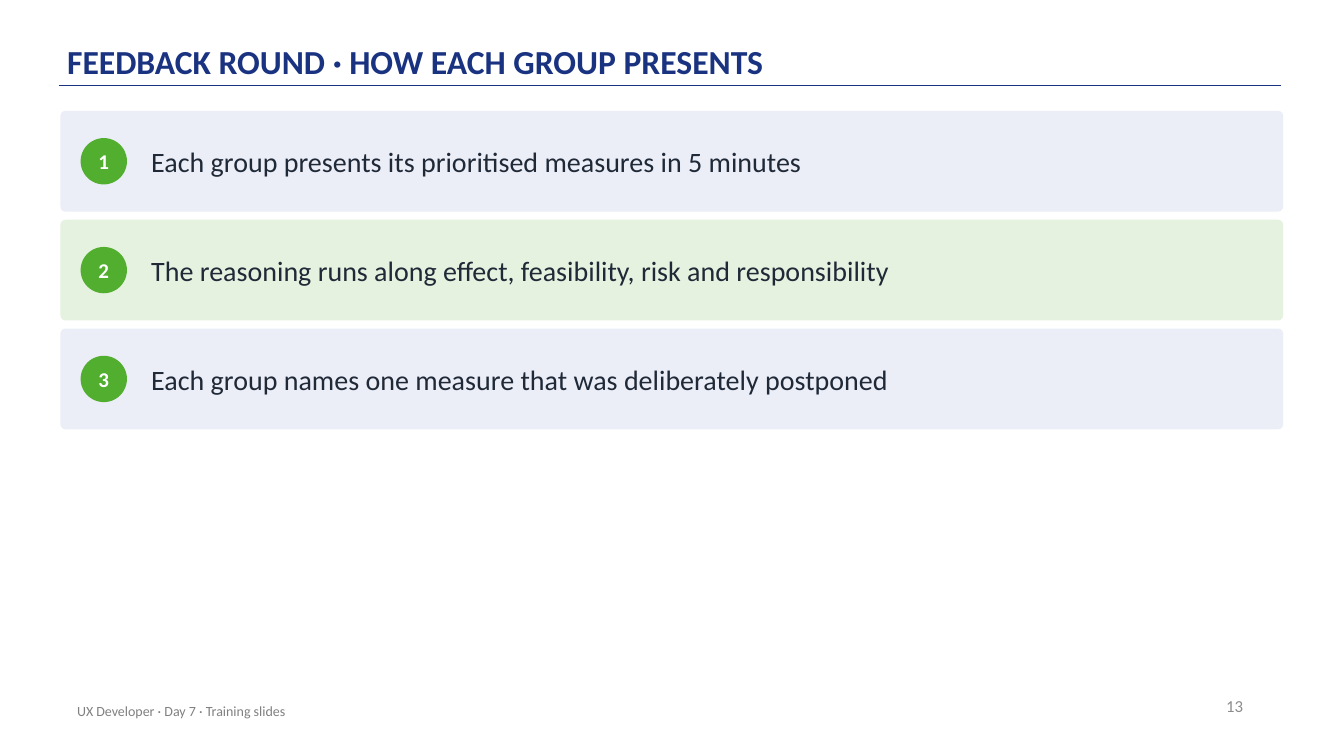
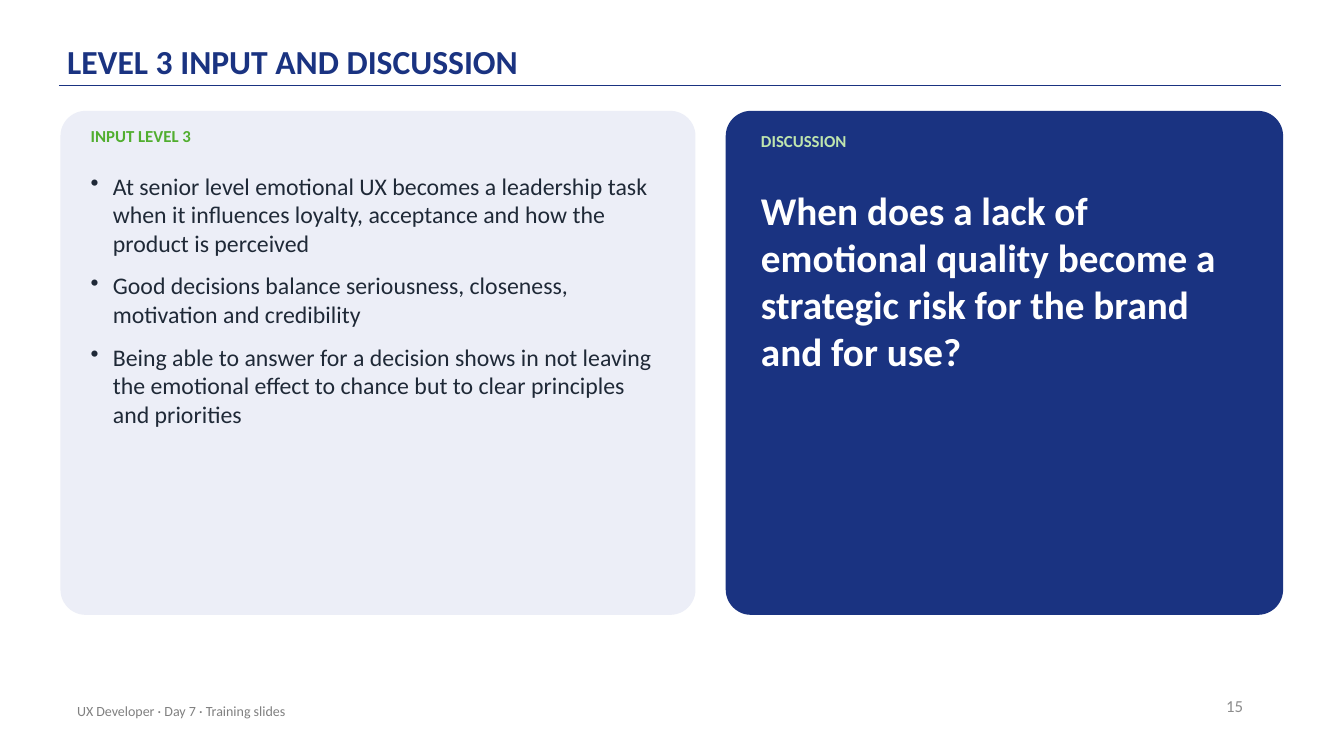
import pptx
import pptx.dml.color
import pptx.enum.shapes
import pptx.enum.text
import pptx.oxml.ns
import pptx.util
from lxml import etree

Pt = pptx.util.Pt
RGBColor = pptx.dml.color.RGBColor
MSO_SHAPE = pptx.enum.shapes.MSO_SHAPE
ALIGN = pptx.enum.text.PP_ALIGN
ANCHOR = pptx.enum.text.MSO_ANCHOR
qn = pptx.oxml.ns.qn

NAVY = RGBColor(0x1A, 0x33, 0x81)
GREEN = RGBColor(0x51, 0xAE, 0x2F)
LIGHT_GREEN = RGBColor(0xBF, 0xE5, 0xAE)
PALE_BLUE = RGBColor(0xEC, 0xEE, 0xF7)
PALE_GREEN = RGBColor(0xE5, 0xF2, 0xDF)
INK = RGBColor(0x1F, 0x29, 0x37)
FOOTER_GRAY = RGBColor(0x80, 0x80, 0x80)
NUMBER_GRAY = RGBColor(0x8C, 0x8C, 0x8C)
WHITE = RGBColor(0xFF, 0xFF, 0xFF)

FONT = "Calibri"
LEFT, RIGHT, TOP = 43.2, 916.56, 79.2
WIDTH = RIGHT - LEFT


def write(sp, text, size, color, bold=False, align=ALIGN.LEFT, anchor=ANCHOR.TOP,
          inset=(0, 0), after=0, spacing=None, bullet=False):
    tf = sp.text_frame
    tf.word_wrap = True
    tf.vertical_anchor = anchor
    tf.margin_left = tf.margin_right = Pt(inset[0])
    tf.margin_top = tf.margin_bottom = Pt(inset[1])
    tf.text = text
    for p in tf.paragraphs:
        p.alignment = align
        p.space_after = Pt(after)
        if spacing:
            p.line_spacing = spacing
        if bullet:
            pPr = p._p.get_or_add_pPr()
            pPr.set("marL", str(Pt(15.84)))
            pPr.set("indent", str(-Pt(15.84)))
            etree.SubElement(pPr, qn("a:buChar")).set("char", "•")
        for r in p.runs:
            r.font.name = FONT
            r.font.size = Pt(size)
            r.font.bold = bold
            r.font.color.rgb = color


def add_block(s, kind, x, y, w, h, fill):
    sp = s.shapes.add_shape(kind, Pt(x), Pt(y), Pt(w), Pt(h))
    sp.shadow.inherit = False
    sp.fill.solid()
    sp.fill.fore_color.rgb = fill
    sp.line.fill.background()
    if kind == MSO_SHAPE.ROUNDED_RECTANGLE:
        sp.adjustments[0] = 0.05
    return sp


prs = pptx.Presentation()
prs.slide_width, prs.slide_height = Pt(960), Pt(540)

slides = []
for title, number in [("FEEDBACK ROUND · HOW EACH GROUP PRESENTS", "13"),
                      ("LEVEL 3 INPUT AND DISCUSSION", "15")]:
    s = prs.slides.add_slide(prs.slide_layouts[6])
    slides.append(s)
    rule = s.shapes.add_connector(pptx.enum.shapes.MSO_CONNECTOR.STRAIGHT,
                                  Pt(42), Pt(61.2), Pt(915), Pt(61.2))
    rule.line.color.rgb = NAVY
    rule.line.width = Pt(1)
    etree.SubElement(rule._element.spPr, qn("a:effectLst"))
    write(s.shapes.add_textbox(Pt(48), Pt(8.64), Pt(792), Pt(51.84)), title, 24, NAVY,
          bold=True, anchor=ANCHOR.BOTTOM, inset=(0, 2.16), spacing=0.9)
    write(s.shapes.add_textbox(Pt(679), Pt(489.6), Pt(216), Pt(28.8)), number, 12,
          NUMBER_GRAY, align=ALIGN.RIGHT, anchor=ANCHOR.MIDDLE, inset=(7.2, 3.6))
    write(s.shapes.add_textbox(Pt(48), Pt(493.2), Pt(482.4), Pt(28.8)),
          "UX Developer · Day 7 · Training slides", 10, FOOTER_GRAY,
          anchor=ANCHOR.MIDDLE, inset=(7.2, 3.6))

s = slides[0]
ROW_H, ROW_GAP, BADGE = 72, 5.76, 33.12
steps = ["Each group presents its prioritised measures in 5 minutes",
         "The reasoning runs along effect, feasibility, risk and responsibility",
         "Each group names one measure that was deliberately postponed"]
for i, step in enumerate(steps):
    y = TOP + i * (ROW_H + ROW_GAP)
    add_block(s, MSO_SHAPE.ROUNDED_RECTANGLE, LEFT, y, WIDTH, ROW_H,
              PALE_GREEN if i % 2 else PALE_BLUE)
    badge = add_block(s, MSO_SHAPE.OVAL, LEFT + 14.4, y + (ROW_H - BADGE) / 2,
                      BADGE, BADGE, GREEN)
    write(badge, str(i + 1), 15, WHITE, bold=True, align=ALIGN.CENTER,
          anchor=ANCHOR.MIDDLE)
    write(s.shapes.add_textbox(Pt(108), Pt(y), Pt(794), Pt(ROW_H)), step, 20, INK,
          anchor=ANCHOR.MIDDLE)

s = slides[1]
points = ["At senior level emotional UX becomes a leadership task when it influences "
          "loyalty, acceptance and how the product is perceived",
          "Good decisions balance seriousness, closeness, motivation and credibility",
          "Being able to answer for a decision shows in not leaving the emotional "
          "effect to chance but to clear principles and priorities"]
question = ("When does a lack of emotional quality become a strategic risk "
            "for the brand and for use?")
panels = [
    (LEFT, 453.6, PALE_BLUE, 21.6, 410.4, "INPUT LEVEL 3", GREEN, 90, 122.4,
     "\n".join(points), dict(size=17, color=INK, after=10, bullet=True)),
    (518.4, RIGHT - 518.4, NAVY, 25.2, 347.76, "DISCUSSION", LIGHT_GREEN, 93.6, 133.2,
     question, dict(size=28, color=WHITE, after=6, bold=True)),
]
for x, w, fill, pad, text_w, label, label_color, label_y, body_y, body, style in panels:
    add_block(s, MSO_SHAPE.ROUNDED_RECTANGLE, x, TOP, w, 360, fill)
    write(s.shapes.add_textbox(Pt(x + pad), Pt(label_y), Pt(text_w), Pt(25.2)), label,
          12, label_color, bold=True, after=6)
    write(s.shapes.add_textbox(Pt(x + pad), Pt(body_y), Pt(text_w), Pt(288)), body,
          **style)

prs.save("out.pptx")
